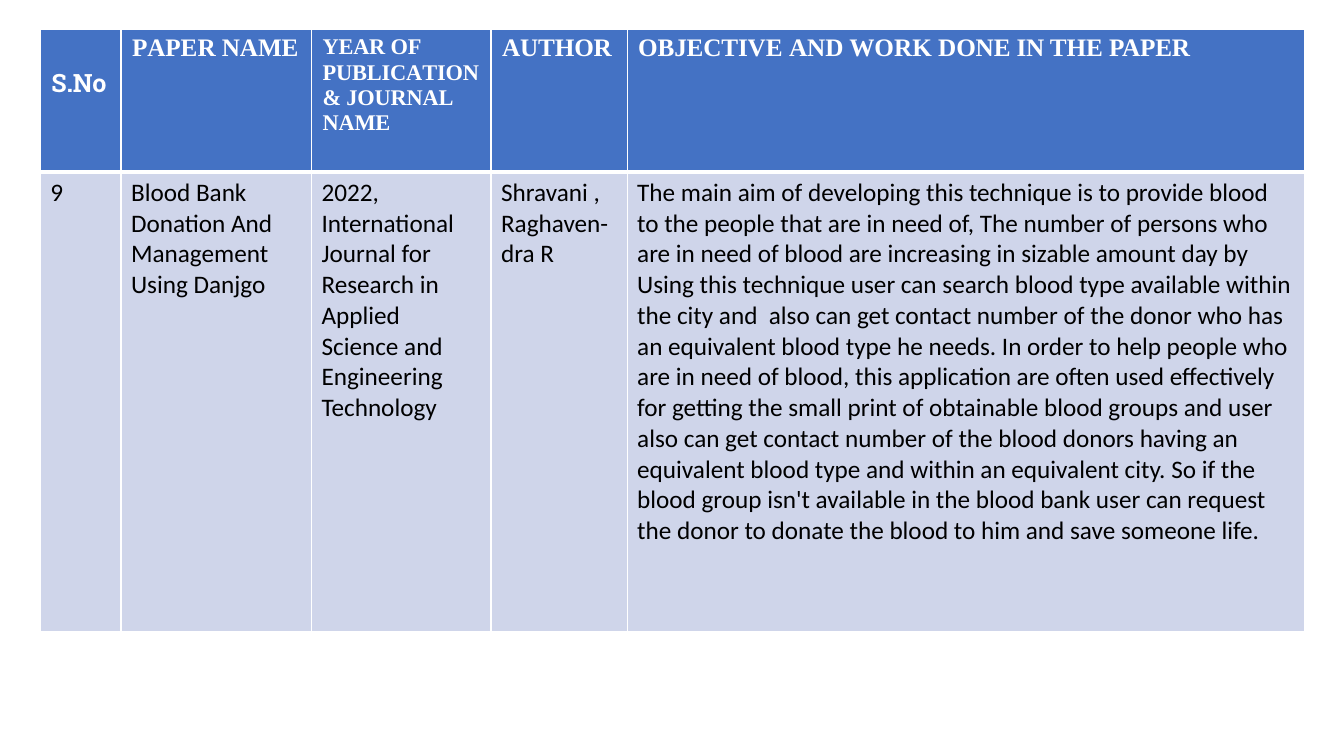
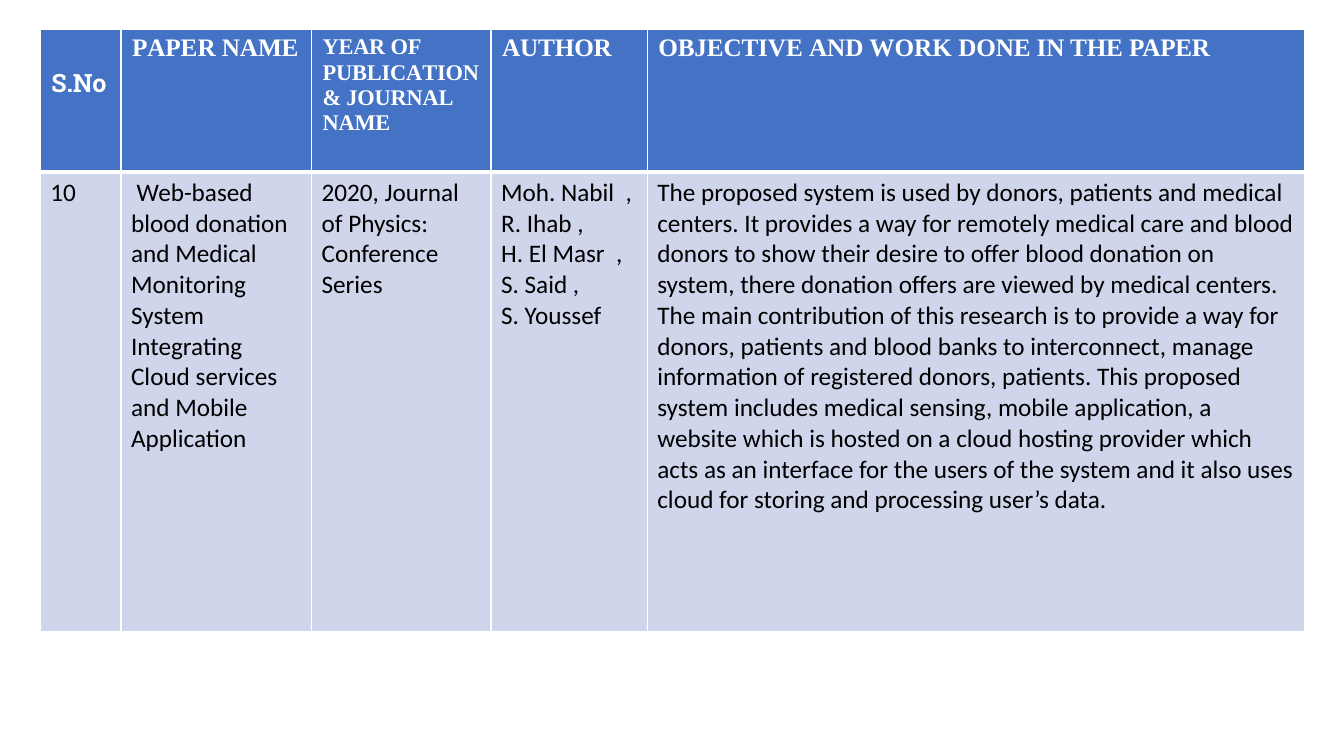
from lxml.etree import SubElement
from pptx import Presentation
from pptx.dml.color import RGBColor
from pptx.oxml.ns import qn
from pptx.util import Inches, Pt

COLORS = {"header": "4472C4", "body": "CFD5EA", "border": "FFFFFF",
          "header_text": "FFFFFF", "body_text": "000000"}
HEADER_FONT, NUMBER_FONT, BODY_FONT = "Times New Roman", "Roboto Slab", "Calibri"
TABLE_LEFT, TABLE_TOP = 0.4, 0.29
ROW_HEIGHTS = (1.42, 4.56)

# Each heading: font, size, top margin, paragraphs of (text, letter spacing in points)
HEADINGS = [
    (NUMBER_FONT, 18, 0.37, [[("S.No", -0.1)]]),
    (HEADER_FONT, 18, 0.05, [[("P", -1.1), ("APE", -0.1), ("R", 0), (" NAME", -0.1)]]),
    (HEADER_FONT, 16, 0.05, [[("YEAR OF", -0.1)],
                             [("PUBLIC", -0.1), ("A", -1.1), ("TION & JOURNAL NAME", -0.1)]]),
    (HEADER_FONT, 18, 0.05, [[("AUTHOR", -0.1)]]),
    (HEADER_FONT, 18, 0.05, [[("OBJECTIV", -0.1), ("E ", 0), ("AN", -0.1), ("D WORK ", 0),
                              ("DONE IN THE ", -0.1), ("PAPER", -0.2)]]),
]

PAPERS = [
    ((0.8, 1.89, 1.78, 1.35, 6.72), [
        "9",
        "Blood Bank Donation And Management Using Danjgo",
        "2022,\nInternational Journal for Research in Applied Science and Engineering Technology",
        "Shravani ,\nRaghaven-dra R",
        "The main aim of developing this technique is to provide blood to the people that are in "
        "need of, The number of persons who are in need of blood are increasing in sizable amount "
        "day by Using this technique user can search blood type available within the city and  "
        "also can get contact number of the donor who has an equivalent blood type he needs. In "
        "order to help people who are in need of blood, this application are often used "
        "effectively for getting the small print of obtainable blood groups and user also can get "
        "contact number of the blood donors having an equivalent blood type and within an "
        "equivalent city. So if the blood group isn't available in the blood bank user can request "
        "the donor to donate the blood to him and save someone life.",
    ]),
    ((0.8, 1.89, 1.78, 1.55, 6.52), [
        "10",
        " Web-based blood donation and Medical Monitoring System Integrating Cloud services and "
        "Mobile Application",
        "2020, Journal of Physics: Conference Series",
        "Moh. Nabil  , R. Ihab ,\nH. El Masr  , S. Said ,\nS. Youssef",
        "The proposed system is used by donors, patients and medical centers. It provides a way "
        "for remotely medical care and blood donors to show their desire to offer blood donation "
        "on system, there donation offers are viewed by medical centers. The main contribution of "
        "this research is to provide a way for donors, patients and blood banks to interconnect, "
        "manage information of registered donors, patients. This proposed system includes medical "
        "sensing, mobile application, a website which is hosted on a cloud hosting provider which "
        "acts as an interface for the users of the system and it also uses cloud for storing and "
        "processing user’s data.",
    ]),
]


def style_run(run, font, size, color, bold):
    run.font.name = font
    run.font.size = Pt(size)
    run.font.bold = bold
    run.font.color.rgb = RGBColor.from_string(COLORS[color])


def style_cell(cell, fill, top_width, bottom_width):
    properties = cell._tc.get_or_add_tcPr()
    for side, width in (("L", 1), ("R", 1), ("T", top_width), ("B", bottom_width)):
        line = SubElement(properties, qn("a:ln" + side), w=str(Pt(width)))
        line_fill = SubElement(line, qn("a:solidFill"))
        SubElement(line_fill, qn("a:srgbClr"), val=COLORS["border"])
    cell.fill.solid()
    cell.fill.fore_color.rgb = RGBColor.from_string(COLORS[fill])


def fill_heading(cell, heading):
    font, size, top_margin, paragraphs = heading
    style_cell(cell, "header", 1, 3)
    cell.margin_left = Inches(0.11)
    cell.margin_top = Inches(top_margin)
    text_frame = cell.text_frame
    for index, pieces in enumerate(paragraphs):
        paragraph = text_frame.add_paragraph() if index else text_frame.paragraphs[0]
        paragraph.space_before = Pt(1)
        for text, spacing in pieces:
            run = paragraph.add_run()
            run.text = text
            style_run(run, font, size, "header_text", True)
            run._r.get_or_add_rPr().set("spc", str(round(spacing * 100)))


def fill_body(cell, text):
    style_cell(cell, "body", 3, 1)
    cell.text_frame.text = text
    for paragraph in cell.text_frame.paragraphs:
        for run in paragraph.runs:
            style_run(run, BODY_FONT, 18, "body_text", False)


def add_paper_table(slide, widths, texts):
    table = slide.shapes.add_table(
        len(ROW_HEIGHTS), len(widths), Inches(TABLE_LEFT), Inches(TABLE_TOP),
        Inches(sum(widths)), Inches(sum(ROW_HEIGHTS))).table
    for row, height in zip(table.rows, ROW_HEIGHTS):
        row.height = Inches(height)
    for index, (width, heading, text) in enumerate(zip(widths, HEADINGS, texts)):
        table.columns[index].width = Inches(width)
        fill_heading(table.cell(0, index), heading)
        fill_body(table.cell(1, index), text)


def main():
    presentation = Presentation()
    presentation.slide_width = Inches(13.33)
    presentation.slide_height = Inches(7.5)
    for widths, texts in PAPERS:
        slide = presentation.slides.add_slide(presentation.slide_layouts[6])
        add_paper_table(slide, widths, texts)
    presentation.save("out.pptx")


main()
